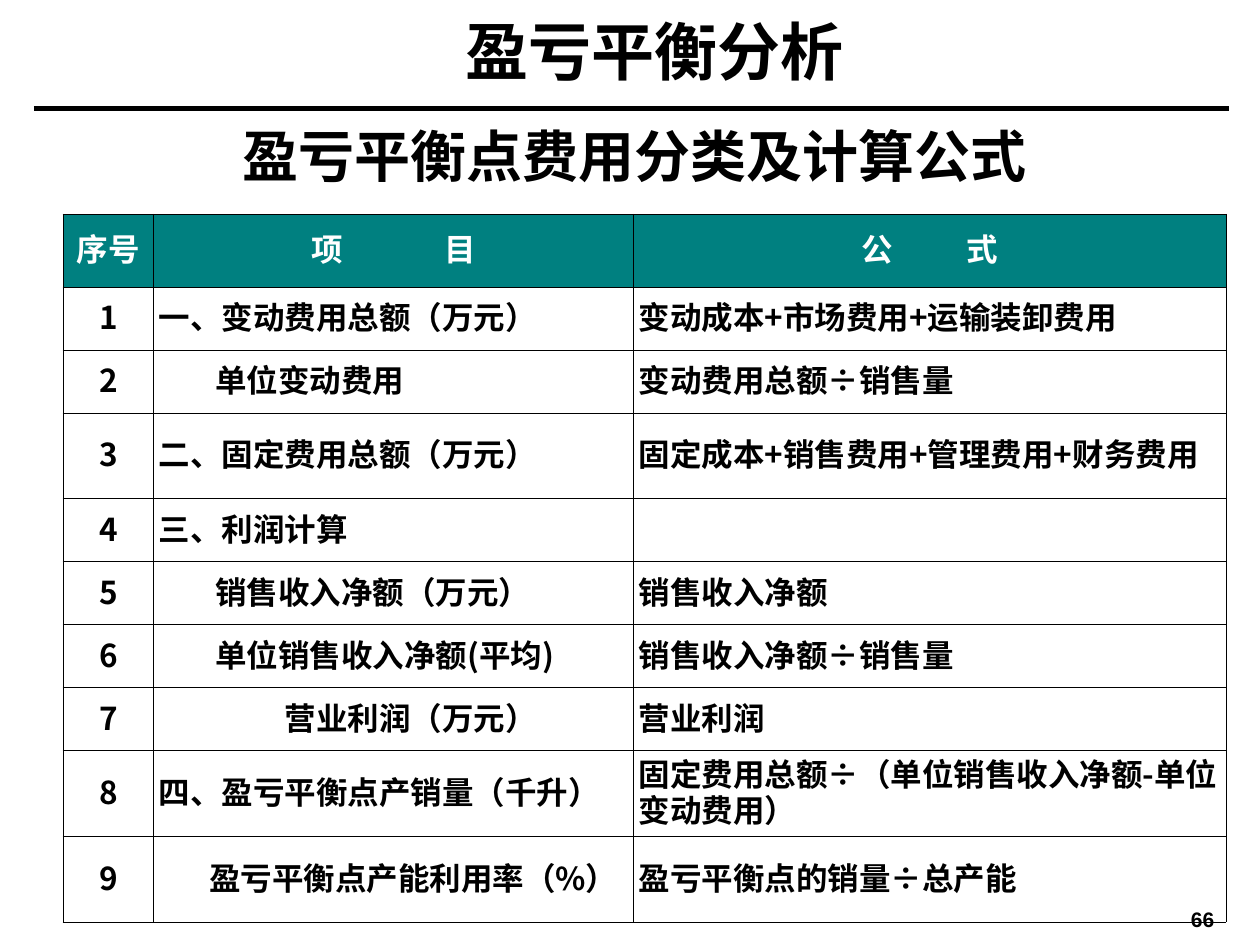
from lxml.etree import SubElement
from pptx import Presentation
from pptx.dml.color import RGBColor
from pptx.enum.shapes import MSO_CONNECTOR
from pptx.enum.text import MSO_ANCHOR, MSO_AUTO_SIZE, PP_ALIGN
from pptx.oxml.ns import qn
from pptx.util import Inches, Pt

BLACK = RGBColor(0, 0, 0)
WHITE = RGBColor(255, 255, 255)
TEAL = RGBColor(0, 128, 128)
HAN = "Noto Sans CJK SC"
SERIF = "Times New Roman"

COLS = [0.72, 3.81, 4.7]
ROWS = [0.58, 0.5, 0.5, 0.64, 0.5, 0.5, 0.5, 0.5, 0.64, 0.56]
HEAD = [("序号", 0), ("项 目", 54), ("公 式", 38)]
ITEMS = [
    ("一、变动费用总额（万元）", 0, "变动成本+市场费用+运输装卸费用"),
    ("单位变动费用", 0.45, "变动费用总额÷销售量"),
    ("二、固定费用总额（万元）", 0, "固定成本+销售费用+管理费用+财务费用"),
    ("三、利润计算", 0, ""),
    ("销售收入净额（万元）", 0.45, "销售收入净额"),
    ("单位销售收入净额(平均)", 0.45, "销售收入净额÷销售量"),
    ("营业利润（万元）", 1, "营业利润"),
    ("四、盈亏平衡点产销量（千升）", 0, "固定费用总额÷（单位销售收入净额-单位变动费用）"),
    ("盈亏平衡点产能利用率（%）", 0.4, "盈亏平衡点的销量÷总产能"),
]


def write(frame, text, size=18, font=HAN, color=BLACK, align=PP_ALIGN.LEFT,
          line=None, indent=0, gap=0):
    frame.word_wrap = True
    para = frame.paragraphs[0]
    para.alignment = align
    para.space_before = Pt(0)
    if line:
        para.line_spacing = line
    if indent:
        props = para._p.get_or_add_pPr()
        props.set("marL", "0")
        props.set("indent", str(Inches(indent)))
    for part in text if gap else [text]:
        run = para.add_run()
        run.text = part
        run.font.size = Pt(size)
        run.font.bold = True
        run.font.name = font
        run.font.color.rgb = color
        props = run._r.get_or_add_rPr()
        SubElement(props, qn("a:ea")).set("typeface", HAN)
        if part == " ":
            props.set("spc", str(gap * 100))


class Deck:
    def __init__(self):
        self.show = Presentation()
        self.show.slide_width = Inches(10)
        self.show.slide_height = Inches(7.5)
        self.slide = self.show.slides.add_slide(self.show.slide_layouts[5])

    def place(self, shape, text, left, top, width, height, **style):
        shape.left, shape.top = Inches(left), Inches(top)
        shape.width, shape.height = Inches(width), Inches(height)
        frame = shape.text_frame
        frame.auto_size = MSO_AUTO_SIZE.NONE
        frame.vertical_anchor = MSO_ANCHOR.MIDDLE
        frame.margin_left = frame.margin_right = Inches(0.1)
        frame.margin_top = frame.margin_bottom = 0
        write(frame, text, align=PP_ALIGN.CENTER, **style)

    def title(self, text, *box, **style):
        self.place(self.slide.shapes.title, text, *box, **style)

    def label(self, text, *box, **style):
        shape = self.slide.shapes.add_textbox(0, 0, 0, 0)
        self.place(shape, text, *box, **style)

    def rule(self, left, right, y, width):
        line = self.slide.shapes.add_connector(
            MSO_CONNECTOR.STRAIGHT, Inches(left), Inches(y), Inches(right), Inches(y))
        line.line.color.rgb = BLACK
        line.line.width = Pt(width)
        SubElement(line._element.spPr, qn("a:effectLst"))

    def grid(self, left, top, cols, rows):
        table = self.slide.shapes.add_table(
            len(rows), len(cols), Inches(left), Inches(top),
            Inches(sum(cols)), Inches(sum(rows))).table
        for col, width in zip(table.columns, cols):
            col.width = Inches(width)
        for row, height in zip(table.rows, rows):
            row.height = Inches(height)
        return table

    def cell(self, cell, text, fill=None, **style):
        cell.vertical_anchor = MSO_ANCHOR.MIDDLE
        cell.margin_left = cell.margin_right = Inches(0.04)
        cell.margin_top = cell.margin_bottom = Inches(0.05)
        props = cell._tc.get_or_add_tcPr()
        for side in ("lnL", "lnR", "lnT", "lnB"):
            edge = SubElement(props, qn("a:" + side), w=str(Pt(0.45)))
            paint = SubElement(edge, qn("a:solidFill"))
            SubElement(paint, qn("a:srgbClr"), val=str(BLACK))
        if fill is None:
            cell.fill.background()
        else:
            cell.fill.solid()
            cell.fill.fore_color.rgb = fill
        if text:
            write(cell.text_frame, text, line=0.8, **style)


def main():
    deck = Deck()
    deck.rule(0.27, 9.75, 0.86, 3)
    table = deck.grid(0.5, 1.7, COLS, ROWS)
    for col, (text, gap) in enumerate(HEAD):
        deck.cell(table.cell(0, col), text, fill=TEAL, color=WHITE,
                  align=PP_ALIGN.CENTER, gap=gap)
    for row, (item, indent, rule) in enumerate(ITEMS, 1):
        deck.cell(table.cell(row, 0), str(row), align=PP_ALIGN.CENTER)
        deck.cell(table.cell(row, 1), item, indent=indent)
        deck.cell(table.cell(row, 2), rule)
    deck.title("盈亏平衡分析", 1.85, 0.05, 6.69, 0.7, size=36, font=SERIF)
    deck.label("盈亏平衡点费用分类及计算公式", 1.22, 0.91, 7.64, 0.64,
               size=32, font=SERIF)
    deck.label("66", 9.21, 7.21, 0.67, 0.17, size=12, font="Arial")
    deck.show.save("out.pptx")


if __name__ == "__main__":
    main()
